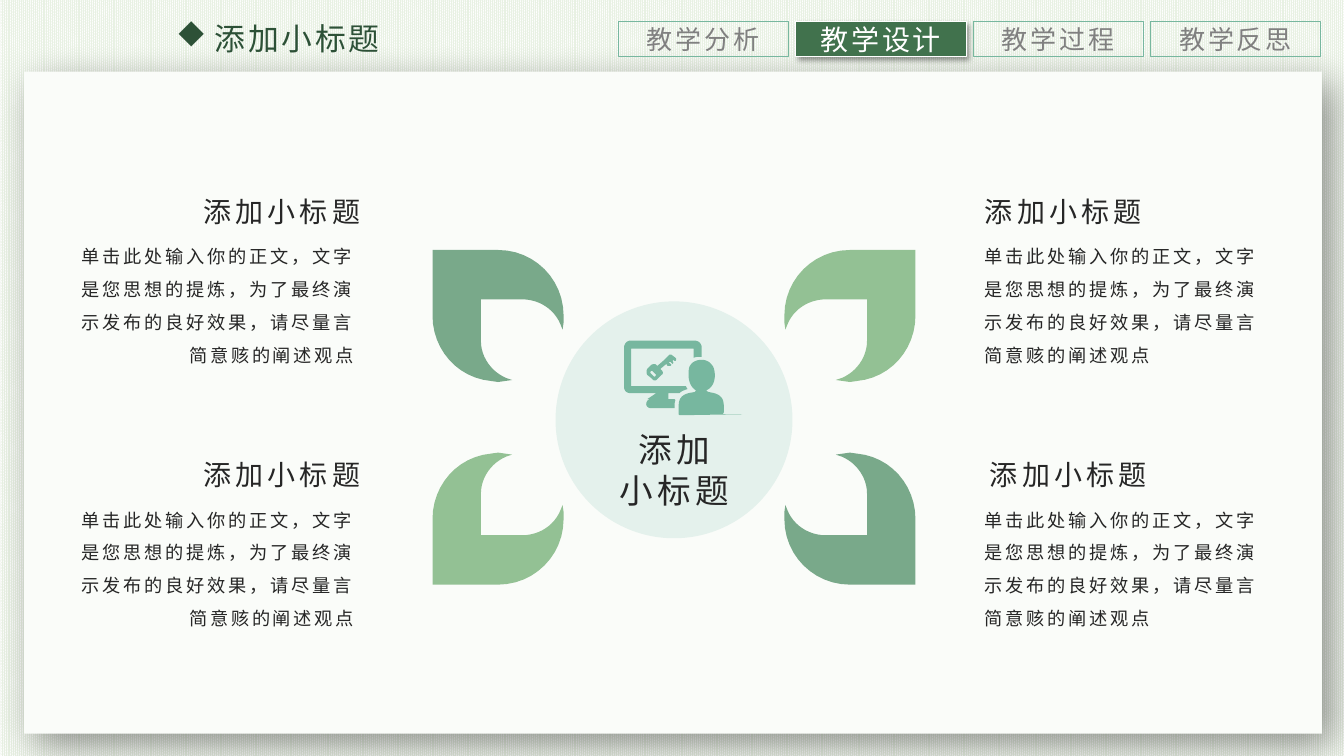
"""Builds the teaching design slide with four petals around a central topic."""
from lxml.etree import SubElement
from pptx import Presentation
from pptx.dml.color import RGBColor
from pptx.enum.dml import MSO_PATTERN
from pptx.enum.shapes import MSO_SHAPE
from pptx.enum.text import MSO_ANCHOR, MSO_AUTO_SIZE, PP_ALIGN
from pptx.oxml.ns import qn
from pptx.util import Pt

PX = 9144
PAGE_WIDTH, PAGE_HEIGHT = 1333, 750
FONT = "Noto Sans CJK SC"
INK, GREY, WHITE = "262626", "808080", "FFFFFF"
SAGE, LEAF, MINT = "79A98A", "93C194", "77B79F"

TITLE = "添加小标题"
DIAMOND_FONT, DIAMOND = "Wingdings", "u"
BODY = "单击此处输入你的正文，文字是您思想的提炼，为了最终演示发布的良好效果，请尽量言简意赅的阐述观点"
TABS = ["教学分析", "教学设计", "教学过程", "教学反思"]
ACTIVE_TAB = "教学设计"
TAB_LEFT, TAB_TOP, TAB_STEP, TAB_WIDTH, TAB_HEIGHT = 613, 21, 176, 169, 35
TOPIC = ["添加", "小标题"]

HEADING_WIDTH, HEADING_HEIGHT = 259, 44
BODY_WIDTH, BODY_HEIGHT, BODY_DROP = 297, 141, 40
ENTRIES = [
    (108, 64, 188, PP_ALIGN.RIGHT),
    (108, 64, 449, PP_ALIGN.RIGHT),
    (967, 967, 188, PP_ALIGN.LEFT),
    (972, 967, 449, PP_ALIGN.LEFT),
]

MIRROR_X, MIRROR_Y = 1337, 828
PETALS = [(False, False, SAGE), (True, False, LEAF), (False, True, LEAF), (True, True, SAGE)]
PETAL = [
    (429, 248), (494, 248), (530, 248, 559, 277, 559, 313), (559, 320), (558, 327), (556, 322),
    (550, 307, 535, 297, 518, 297), (477, 297), (477, 338), (477, 355, 488, 369, 502, 375),
    (508, 377), (494, 379), (487, 378), (454, 375, 429, 347, 429, 313),
]
KEY_HOLE = [
    (646, 368), (645, 369), (645, 370), (648, 373), (649, 374, 650, 374, 650, 373),
    (651, 372, 651, 372, 650, 371), (647, 368),
]
PERSON = [
    (696, 357), (700, 357, 704, 359, 706, 362), (708, 364, 709, 368, 709, 373),
    (709, 379, 706, 385, 701, 387), (701, 388), (703, 389), (709, 390, 713, 391, 716, 395),
    (718, 398, 718, 402, 718, 409), (717, 411), (736, 411), (675, 412),
    (673, 412, 673, 411, 673, 409), (673, 402, 673, 398, 675, 395),
    (678, 391, 682, 390, 689, 389), (690, 388), (690, 387), (686, 385, 683, 379, 683, 373),
    (683, 368, 683, 364, 685, 362), (687, 359, 691, 357, 696, 357),
]
KEY = [
    (664, 352), (666, 352), (670, 355), (671, 356, 671, 357, 670, 358), (669, 358), (668, 357),
    (667, 358), (668, 360), (667, 361), (665, 359), (663, 359), (664, 360), (666, 362),
    (665, 363), (662, 363), (661, 361), (655, 366), (656, 367), (658, 369, 658, 371, 656, 372),
    (652, 376), (651, 378, 648, 378, 647, 376), (642, 372), (641, 370, 641, 368, 642, 366),
    (646, 362), (648, 361, 650, 361, 651, 362), (652, 363), (659, 357),
]
MONITOR = [
    (625, 338), (689, 338), (693, 338, 696, 341, 696, 345), (696, 354),
    (693, 354, 690, 354, 688, 355), (688, 346), (626, 346), (626, 383), (680, 383),
    (681, 384, 681, 385, 682, 386), (679, 387, 676, 388, 674, 390), (663, 390), (663, 396),
    (669, 396), (670, 397), (669, 399, 669, 402, 669, 405), (646, 405),
    (643, 405, 641, 403, 641, 401), (641, 398, 643, 396, 646, 396), (642, 396), (651, 390),
    (625, 390), (622, 390, 619, 388, 619, 384), (619, 345), (619, 341, 622, 338, 625, 338),
]


def color(value):
    return RGBColor.from_string(value)


def add_shadow(shape, blur, distance, angle):
    effects = shape._element.spPr.find(qn("a:effectLst"))
    shadow = SubElement(effects, qn("a:outerShdw"), blurRad=str(Pt(blur)), dist=str(Pt(distance)),
                        dir=str(angle * 60000), algn="tl", rotWithShape="0")
    black = SubElement(shadow, qn("a:srgbClr"), val="000000")
    SubElement(black, qn("a:alpha"), val="40000")


def paint(shape, fill=None, line=None):
    shape.shadow.inherit = False
    if fill:
        shape.fill.solid()
        shape.fill.fore_color.rgb = color(fill)
    else:
        shape.fill.background()
    if line:
        shape.line.color.rgb = color(line)
        shape.line.width = Pt(0.5)
    else:
        shape.line.fill.background()


def add_preset(page, kind, bounds, fill=None, line=None):
    shape = page.shapes.add_shape(kind, *[value * PX for value in bounds])
    paint(shape, fill, line)
    return shape


def style(para, size, ink, spacing, align=PP_ALIGN.LEFT):
    para.alignment = align
    para.font.size = Pt(size)
    para.font.color.rgb = color(ink)
    para.font.name = FONT
    defaults = para._p.pPr.find(qn("a:defRPr"))
    defaults.set("spc", str(spacing * 100))
    SubElement(defaults, qn("a:ea"), typeface=FONT)


def add_text(page, bounds, lines, size, ink, spacing, align=PP_ALIGN.LEFT, leading=None, bullet=None):
    box = page.shapes.add_textbox(*[value * PX for value in bounds])
    frame = box.text_frame
    frame.word_wrap = True
    frame.auto_size = MSO_AUTO_SIZE.SHAPE_TO_FIT_TEXT
    frame.text = "\n".join(lines)
    for para in frame.paragraphs:
        if leading:
            para.line_spacing = leading
        if bullet:
            properties = para._p.get_or_add_pPr()
            properties.set("marL", str(38 * PX))
            properties.set("indent", str(-38 * PX))
            SubElement(properties, qn("a:buFont"), typeface=DIAMOND_FONT,
                       pitchFamily="2", charset="2")
            SubElement(properties, qn("a:buChar"), char=bullet)
        style(para, size, ink, spacing, align)


def flatten(outline, steps=12):
    points = []
    for part in outline:
        if len(part) == 2:
            points.append(part)
            continue
        controls = [points[-1], part[:2], part[2:4], part[4:]]
        for step in range(1, steps + 1):
            t = step / steps
            weights = ((1 - t) ** 3, 3 * t * (1 - t) ** 2, 3 * t * t * (1 - t), t ** 3)
            points.append(tuple(sum(w * c[axis] for w, c in zip(weights, controls)) for axis in (0, 1)))
    return points


def add_outline(page, contours, fill):
    scaled = [[(round(x * PX), round(y * PX)) for x, y in points] for points in contours]
    builder = page.shapes.build_freeform(*scaled[0][0])
    builder.add_line_segments(scaled[0][1:], close=True)
    for points in scaled[1:]:
        builder.move_to(*points[0])
        builder.add_line_segments(points[1:], close=True)
    paint(builder.convert_to_shape(), fill)


def main():
    deck = Presentation()
    deck.slide_width, deck.slide_height = PAGE_WIDTH * PX, PAGE_HEIGHT * PX
    page = deck.slides.add_slide(deck.slide_layouts[6])

    backdrop = add_preset(page, MSO_SHAPE.RECTANGLE, (0, 0, PAGE_WIDTH, PAGE_HEIGHT))
    backdrop.fill.patterned()
    backdrop.fill.pattern = MSO_PATTERN.PERCENT_90
    backdrop.fill.fore_color.rgb = color("E8F1E3")
    backdrop.fill.back_color.rgb = color(WHITE)
    panel = add_preset(page, MSO_SHAPE.RECTANGLE, (24, 71, 1287, 657), "FAFCF9")
    add_shadow(panel, 28, 12, 49)

    for index, label in enumerate(TABS):
        active = label == ACTIVE_TAB
        bounds = (TAB_LEFT + index * TAB_STEP, TAB_TOP, TAB_WIDTH, TAB_HEIGHT)
        tab = add_preset(page, MSO_SHAPE.RECTANGLE, bounds,
                         "41724D" if active else None, WHITE if active else MINT)
        if active:
            add_shadow(tab, 4, 3, 45)
        tab.text_frame.text = label
        tab.text_frame.vertical_anchor = MSO_ANCHOR.MIDDLE
        style(tab.text_frame.paragraphs[0], 20 if active else 18.6,
              WHITE if active else GREY, 2, PP_ALIGN.CENTER)
    add_text(page, (165, 15, 257, 47), [TITLE], 22, "2D5137", 2, bullet=DIAMOND)

    petal = flatten(PETAL)
    for flip_x, flip_y, fill in PETALS:
        points = [(MIRROR_X - x if flip_x else x, MIRROR_Y - y if flip_y else y) for x, y in petal]
        add_outline(page, [points], fill)

    for heading_left, body_left, top, align in ENTRIES:
        add_text(page, (heading_left, top, HEADING_WIDTH, HEADING_HEIGHT), [TITLE], 20, INK, 3, align)
        add_text(page, (body_left, top + BODY_DROP, BODY_WIDTH, BODY_HEIGHT), [BODY],
                 13, INK, 2, align, leading=1.5)

    add_preset(page, MSO_SHAPE.OVAL, (551, 299, 235, 235), "E4F1EC")
    add_text(page, (579, 421, 179, 91), TOPIC, 24, INK, 3, PP_ALIGN.CENTER)
    add_outline(page, [flatten(part) for part in (KEY_HOLE, PERSON, KEY, MONITOR)], MINT)
    deck.save("out.pptx")


if __name__ == "__main__":
    main()
